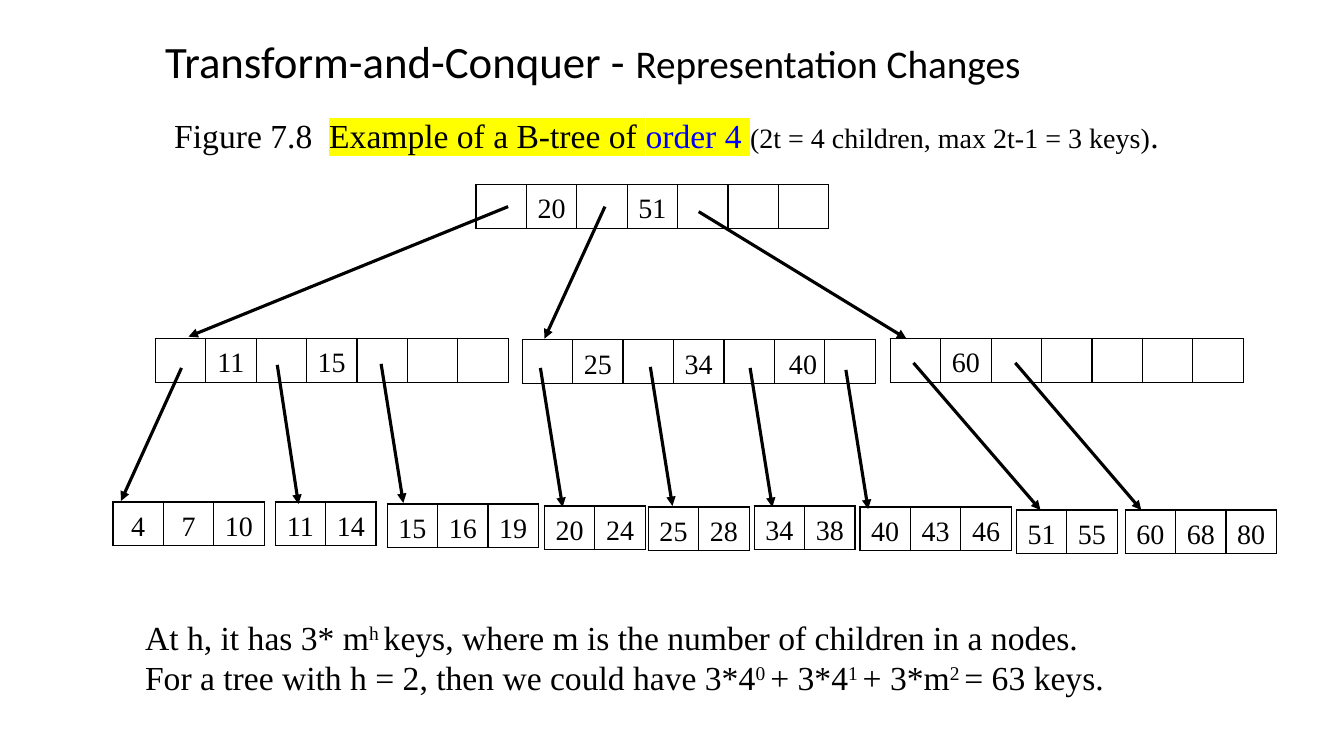
from dataclasses import dataclass

import pptx
import pptx.util
import pptx.dml.color
import pptx.enum.shapes
import pptx.enum.text
import pptx.oxml
import pptx.oxml.ns
from lxml import etree

Inches, Pt = pptx.util.Inches, pptx.util.Pt
RGB = pptx.dml.color.RGBColor.from_string
qn = pptx.oxml.ns.qn


@dataclass(frozen=True)
class Theme:
    ink: str = "000000"
    paper: str = "FFFFFF"
    accent: str = "0000FF"
    marker: str = "FFFF00"
    serif: str = "Times New Roman"
    sans: str = "Calibri"
    title: int = 32
    subtitle: int = 28
    body: int = 24
    key: int = 20
    border: float = 1
    arrow: float = 2.25
    spacing: float = 1.3


T = Theme()
CELL_W, CELL_H = 0.5, 0.43

# Nodes of the tree: left, top, slots ("" is a pointer or an unused slot)
NODES = [
    (4.72, 1.83, ["", "20", "", "51", "", "", ""]),
    (1.54, 3.36, ["", "11", "", "15", "", "", ""]),
    (5.18, 3.37, ["", "25", "", "34", "", " 40", ""]),
    (8.83, 3.36, ["", "60", "", "", "", "", ""]),
    (1.12, 4.98, ["4", "7", "10"]),
    (2.73, 4.98, ["11", "14"]),
    (3.84, 5.0, ["15", "16", "19"]),
    (5.4, 5.02, ["20", "24"]),
    (6.43, 5.03, ["25", "28"]),
    (7.48, 5.02, ["34", "38"]),
    (8.53, 5.03, ["40", "43", "46"]),
    (10.08, 5.06, ["51", "55"]),
    (11.16, 5.06, ["60", "68", "80"]),
]

# Child pointers: x1, y1, x2, y2
POINTERS = [
    (5.04, 2.05, 1.87, 3.34),
    (6.0, 2.05, 5.4, 3.36),
    (6.93, 2.1, 8.99, 3.36),
    (1.8, 3.65, 1.2, 4.97),
    (2.75, 3.62, 2.96, 5.0),
    (3.78, 3.61, 4.0, 4.99),
    (5.36, 3.65, 5.58, 5.03),
    (6.45, 3.64, 6.67, 5.02),
    (7.44, 3.65, 7.66, 5.03),
    (8.39, 3.67, 8.61, 5.05),
    (9.06, 3.6, 10.32, 5.06),
    (10.07, 3.6, 11.32, 5.06),
]


def set_attrs(obj, values):
    for name, value in values.items():
        setattr(obj, name, value)


def add_run(p, text, size=T.body, font=T.serif, color=T.ink, highlight=None, raised=False):
    r = p.add_run()
    r.text = text
    r.font.color.rgb = RGB(color)
    set_attrs(r.font, {"size": Pt(size), "name": font, "bold": False})
    rPr = r.font._element
    if highlight:
        mark = etree.Element(qn("a:highlight"))
        etree.SubElement(mark, qn("a:srgbClr"), val=highlight)
        rPr.find(qn("a:solidFill")).addnext(mark)
    if raised:
        rPr.set("baseline", "30000")


def add_text(s, box, paragraphs, spacing=1.0):
    """Each paragraph is a list of (text, run format) pairs."""
    tf = s.shapes.add_textbox(*map(Inches, box)).text_frame
    tf.word_wrap = True
    for i, runs in enumerate(paragraphs):
        p = tf.add_paragraph() if i else tf.paragraphs[0]
        p.line_spacing = spacing
        for text, fmt in runs:
            add_run(p, text, **fmt)


def style_cell(cell, text):
    tcPr = cell._tc.get_or_add_tcPr()
    for side in ("lnL", "lnR", "lnT", "lnB"):
        ln = etree.SubElement(tcPr, qn(f"a:{side}"), w=str(Pt(T.border)))
        etree.SubElement(etree.SubElement(ln, qn("a:solidFill")), qn("a:srgbClr"), val=T.ink)
    cell.fill.solid()
    cell.fill.fore_color.rgb = RGB(T.paper)
    set_attrs(cell, {"margin_left": Inches(0.07), "margin_right": Inches(0.07),
                     "margin_top": 0, "margin_bottom": 0})
    p = cell.text_frame.paragraphs[0]
    set_attrs(p, {"alignment": pptx.enum.text.PP_ALIGN.CENTER, "line_spacing": T.spacing})
    if text:
        add_run(p, text, size=T.key)


def add_node(s, left, top, slots):
    n = len(slots)
    tbl = s.shapes.add_table(1, n, Inches(left), Inches(top),
                             Inches(n * CELL_W), Inches(CELL_H)).table
    set_attrs(tbl, {"first_row": False, "horz_banding": False})
    for col, cell, text in zip(tbl.columns, tbl.rows[0].cells, slots):
        col.width = Inches(CELL_W)
        style_cell(cell, text)


def add_arrow(s, *ends):
    line = s.shapes.add_connector(pptx.enum.shapes.MSO_CONNECTOR.STRAIGHT, *map(Inches, ends))
    line.line.color.rgb = RGB(T.ink)
    line.line.width = Pt(T.arrow)
    etree.SubElement(line.line._get_or_add_ln(), qn("a:tailEnd"), type="triangle")
    etree.SubElement(line._element.spPr, qn("a:effectLst"))


def main():
    prs = pptx.Presentation()
    set_attrs(prs, {"slide_width": Inches(13.33), "slide_height": Inches(7.5)})
    s = prs.slides.add_slide(prs.slide_layouts[6])

    # Title and caption
    add_text(s, (1.54, 0.29, 8.98, 0.64), [[
        ("Transform-and-Conquer - ", {"size": T.title, "font": T.sans}),
        ("Representation Changes", {"size": T.subtitle, "font": T.sans}),
    ]])
    add_text(s, (1.63, 0.97, 10.34, 0.57), [[
        ("Figure 7.8  ", {}),
        ("Example of a B-tree of ", {"highlight": T.marker}),
        ("order 4 ", {"highlight": T.marker, "color": T.accent}),
        ("(2t = 4 children, max 2t-1 = 3 keys)", {"size": T.key}),
        (".", {}),
    ]], T.spacing)

    # B-tree
    for node in NODES:
        add_node(s, *node)
    for pointer in POINTERS:
        add_arrow(s, *pointer)

    # Key count
    power = {"raised": True}
    add_text(s, (1.34, 6.07, 10.91, 0.91), [
        [("At h, it has 3* m", {}), ("h ", power),
         ("keys, where m is the number of children in a nodes.", {})],
        [("For a tree with h = 2, then we could have 3*4", {}), ("0 ", power),
         ("+ 3*4", {}), ("1 ", power), ("+ 3*m", {}), ("2 ", power), ("= 63 keys.", {})],
    ])
    prs.save("out.pptx")


if __name__ == "__main__":
    main()
